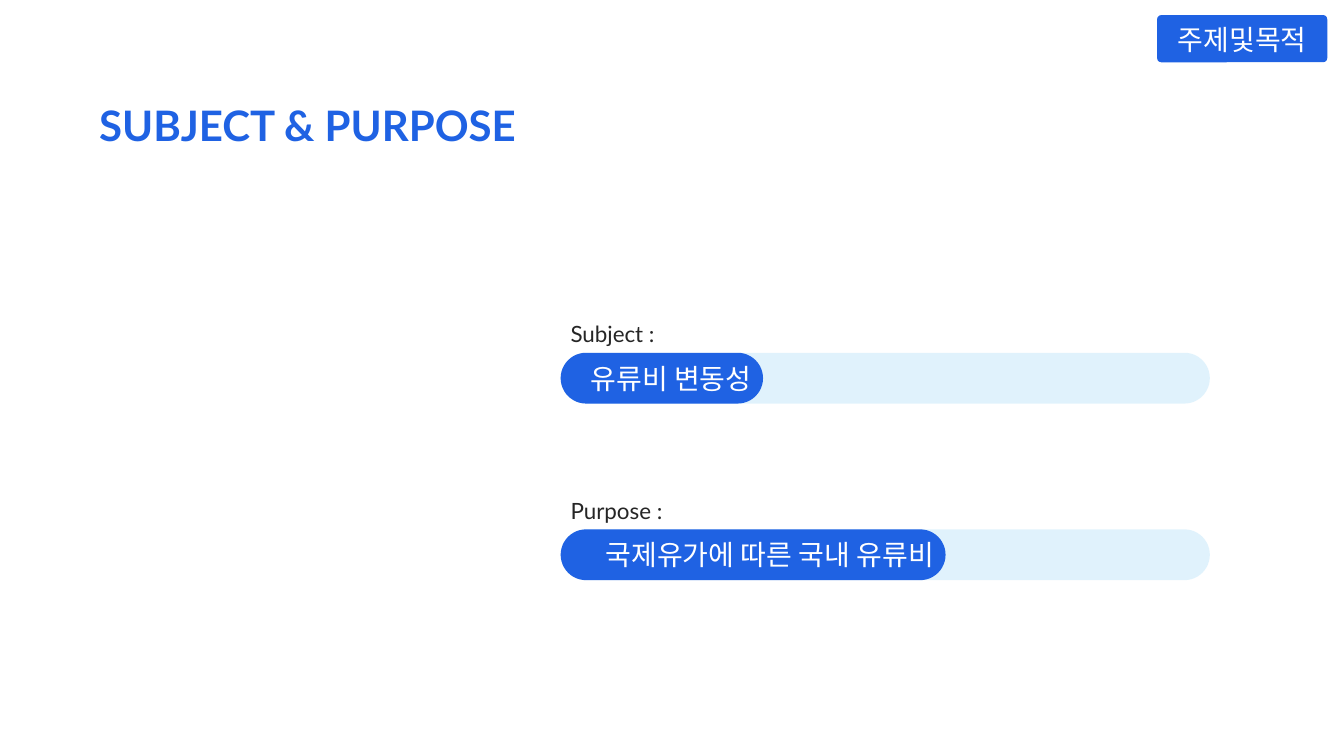
from lxml import etree
from pptx import Presentation
from pptx.dml.color import RGBColor
from pptx.enum.shapes import MSO_SHAPE as SHAPE
from pptx.enum.text import MSO_ANCHOR as ANCHOR, PP_ALIGN as ALIGN
from pptx.oxml.ns import qn
from pptx.util import Cm, Pt

BLUE = RGBColor(0x1F, 0x62, 0xE3)
PALE_BLUE = RGBColor(0xC2, 0xE7, 0xFA)
DARK = RGBColor(0x26, 0x26, 0x26)
WHITE = RGBColor(0xFF, 0xFF, 0xFF)


def write(shape, text, size, color, font="Lato", bold=False, align=ALIGN.LEFT,
          anchor=ANCHOR.TOP, inset_x=0.25, inset_y=0.13):
    frame = shape.text_frame
    frame.word_wrap = True
    frame.vertical_anchor = anchor
    frame.margin_left = frame.margin_right = Cm(inset_x)
    frame.margin_top = frame.margin_bottom = Cm(inset_y)
    paragraph = frame.paragraphs[0]
    paragraph.alignment = align
    run = paragraph.add_run()
    run.text = text
    run.font.name = font
    run.font.size = Pt(size)
    run.font.bold = bold
    run.font.color.rgb = color


def add_rounded(shapes, left, top, width, height, color, rounding=0.5):
    shape = shapes.add_shape(SHAPE.ROUNDED_RECTANGLE, Cm(left), Cm(top), Cm(width), Cm(height))
    shape.adjustments[0] = rounding
    shape.shadow.inherit = False
    shape.fill.solid()
    shape.fill.fore_color.rgb = color
    shape.line.fill.background()
    return shape


prs = Presentation()
prs.slide_width, prs.slide_height = Cm(33.87), Cm(19.05)
slide = prs.slides.add_slide(prs.slide_layouts[6])
shapes = slide.shapes

# Labelled bars: pale track with a blue bar over it
BAR_LEFT, BAR_HEIGHT, TRACK_WIDTH = 14.13, 1.28, 16.36
LABEL_RISE = 0.94
bars = [
    ("Subject :", "유류비 변동성", 8.89, 5.1),
    ("Purpose :", "국제유가에 따른 국내 유류비", 13.34, 9.7),
]
for label_text, bar_text, top, bar_width in bars:
    track = add_rounded(shapes, BAR_LEFT, top, TRACK_WIDTH, BAR_HEIGHT, PALE_BLUE)
    track_color = track.fill._xPr.find(qn("a:solidFill"))[0]
    etree.SubElement(track_color, qn("a:alpha")).set("val", "50000")
    bar = add_rounded(shapes, BAR_LEFT, top, bar_width, BAR_HEIGHT, BLUE)
    write(bar, bar_text, 20, WHITE, font="Calibri", align=ALIGN.RIGHT,
          anchor=ANCHOR.MIDDLE, inset_x=0.1, inset_y=0.1)
    label = shapes.add_textbox(Cm(BAR_LEFT), Cm(top - LABEL_RISE), Cm(3.81), Cm(0.94))
    write(label, label_text, 16, DARK)

# Title
title = shapes.add_textbox(Cm(2.5), Cm(2.5), Cm(11.9), Cm(1.28))
write(title, "SUBJECT & PURPOSE", 30, BLUE, bold=True, inset_x=0, inset_y=0)

# Section tag in the top right corner
tag = shapes.add_group_shape()
add_rounded(tag.shapes, 29.16, 0.38, 4.29, 1.19, BLUE, rounding=0.09)
tag_text = tag.shapes.add_textbox(Cm(29.16), Cm(0.45), Cm(4.29), Cm(1.11))
write(tag_text, "주제및목적", 20, WHITE, align=ALIGN.CENTER)

prs.save("out.pptx")
